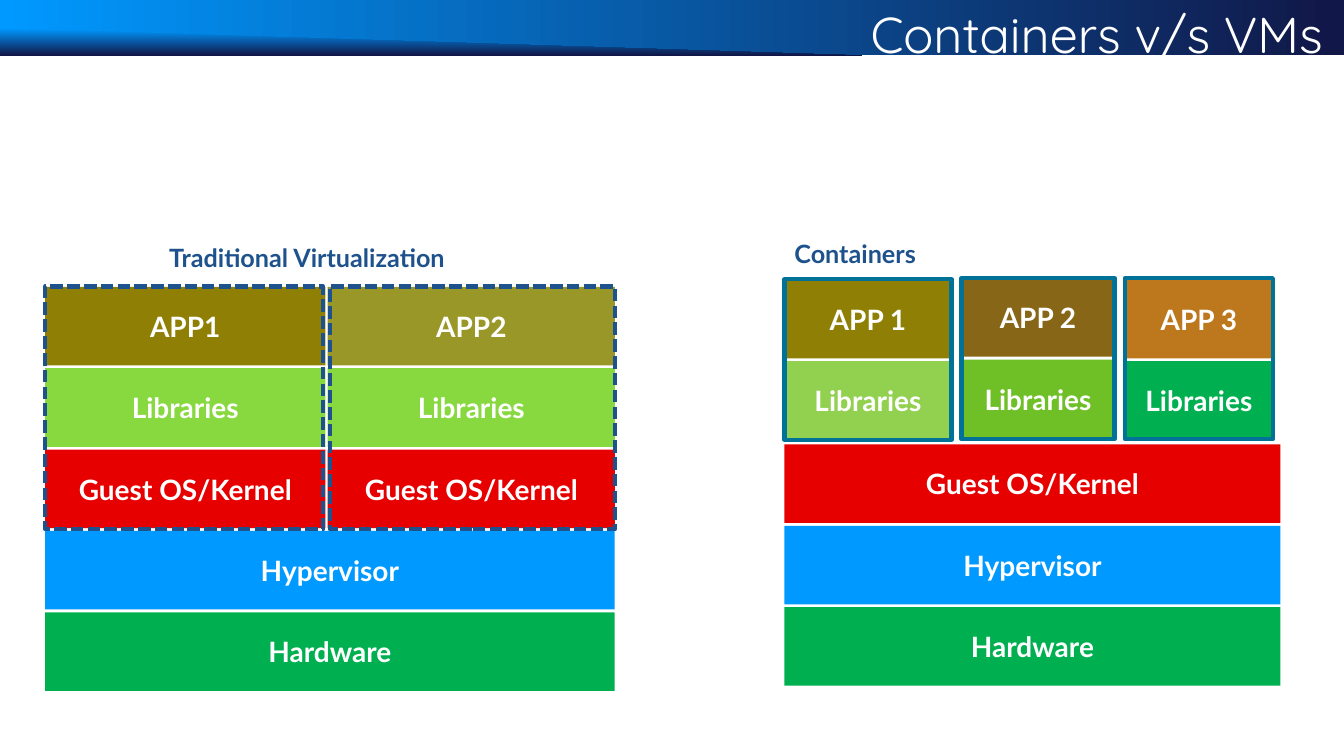
from dataclasses import dataclass

from pptx import Presentation
from pptx.dml.color import RGBColor
from pptx.enum.dml import MSO_LINE
from pptx.enum.shapes import MSO_SHAPE
from pptx.enum.text import MSO_ANCHOR, PP_ALIGN
from pptx.shapes.autoshape import Shape
from pptx.slide import Slide
from pptx.util import Cm, Pt

RECTANGLE = MSO_SHAPE.RECTANGLE
DASH = MSO_LINE.SQUARE_DOT
SOLID = MSO_LINE.SOLID
MIDDLE = MSO_ANCHOR.MIDDLE
BOTTOM = MSO_ANCHOR.BOTTOM
LEFT = PP_ALIGN.LEFT
CENTER = PP_ALIGN.CENTER

WHITE = "FFFFFF"
NAVY = "1D528D"
TEAL = "007197"
BLUE = "0099FF"
MIDNIGHT = "111747"
RED = "E60000"
GREEN = "00B050"
LIME = "88D840"
OLIVE = "8F7F05"

LAYER_HEIGHT = 1.98
LAYER_PITCH = 2.05
VM_TOP = 7.23
CONTAINER_TOP = 7.05

LAYER_FORMAT = {"name": "Lato", "size": Pt(20), "bold": True}
HEADING_FORMAT = {"name": "Lato", "size": Pt(18), "bold": True}
TITLE_FORMAT = {"name": "Quicksand", "size": Pt(36)}


@dataclass(frozen=True)
class Box:
    left: float
    top: float
    width: float
    height: float


@dataclass(frozen=True)
class Layer:
    text: str
    color: str


@dataclass(frozen=True)
class Stack:
    left: float
    top: float
    width: float
    layers: tuple[Layer, ...]


@dataclass(frozen=True)
class Frame:
    box: Box
    color: str
    dash: MSO_LINE


HOST_LAYERS = (Layer("Hypervisor", BLUE), Layer("Hardware", GREEN))
GUEST_KERNEL = Layer("Guest OS/Kernel", RED)

STACKS = (
    Stack(1.14, VM_TOP, 7.06,
          (Layer("APP1", OLIVE), Layer("Libraries", LIME), GUEST_KERNEL)),
    Stack(8.26, VM_TOP, 7.24,
          (Layer("APP2", "9A9729"), Layer("Libraries", LIME), GUEST_KERNEL)),
    Stack(1.14, VM_TOP + 3 * LAYER_PITCH, 14.35, HOST_LAYERS),
    Stack(19.77, CONTAINER_TOP, 4.21,
          (Layer("APP 1", OLIVE), Layer("Libraries", "92D050"))),
    Stack(24.23, CONTAINER_TOP - 0.04, 3.86,
          (Layer("APP 2", "876717"), Layer("Libraries", "6FBF27"))),
    Stack(28.35, CONTAINER_TOP, 3.73,
          (Layer("APP 3", "BD781D"), Layer("Libraries", GREEN))),
    Stack(19.77, CONTAINER_TOP + 2 * LAYER_PITCH + 0.05, 12.5,
          (GUEST_KERNEL, *HOST_LAYERS)),
)

FRAMES = (
    Frame(Box(1.14, 7.22, 7.01, 6.12), NAVY, DASH),
    Frame(Box(8.31, 7.22, 7.19, 6.12), NAVY, DASH),
    Frame(Box(19.77, 7.04, 4.21, 4.04), TEAL, SOLID),
    Frame(Box(24.23, 7.01, 3.86, 4.06), TEAL, SOLID),
    Frame(Box(28.35, 7.01, 3.73, 4.06), TEAL, SOLID),
)

HEADINGS = (
    ("Traditional Virtualization", Box(4.01, 5.99, 9.02, 1.02)),
    ("Containers", Box(19.77, 5.87, 12.01, 1.02)),
)


def rgb(color: str) -> RGBColor:
    return RGBColor.from_string(color)


def write_text(shape: Shape, text: str, color: str, alignment: PP_ALIGN,
               font_format: dict) -> None:
    shape.text_frame.word_wrap = True
    paragraph = shape.text_frame.paragraphs[0]
    paragraph.alignment = alignment
    run = paragraph.add_run()
    run.text = text
    run.font.color.rgb = rgb(color)
    for attribute, value in font_format.items():
        setattr(run.font, attribute, value)


def add_rectangle(slide: Slide, box: Box) -> Shape:
    shape = slide.shapes.add_shape(
        RECTANGLE, Cm(box.left), Cm(box.top), Cm(box.width), Cm(box.height))
    shape.shadow.inherit = False
    return shape


def add_text_box(slide: Slide, box: Box) -> Shape:
    return slide.shapes.add_textbox(
        Cm(box.left), Cm(box.top), Cm(box.width), Cm(box.height))


def fill_gradient(shape: Shape, angle: int) -> None:
    shape.fill.gradient()
    shape.fill.gradient_angle = angle
    for stop, color in zip(shape.fill.gradient_stops, (BLUE, MIDNIGHT)):
        stop.color.rgb = rgb(color)
    shape.line.fill.background()


def add_banner(slide: Slide) -> None:
    fill_gradient(add_rectangle(slide, Box(-0.02, 0, 33.9, 1.4)), 0)
    builder = slide.shapes.build_freeform(Cm(-0.05), Cm(0.71))
    builder.add_line_segments(
        [(Cm(21.72), Cm(1.4)), (Cm(-0.05), Cm(1.4))], close=True)
    wedge = builder.convert_to_shape()
    wedge.shadow.inherit = False
    fill_gradient(wedge, 270)

    title = add_text_box(slide, Box(21.39, 0, 12.5, 1.93))
    for side in ("left", "top", "right", "bottom"):
        setattr(title.text_frame, f"margin_{side}", Cm(0.33))
    title.text_frame.vertical_anchor = BOTTOM
    write_text(title, "Containers v/s VMs", WHITE, CENTER, TITLE_FORMAT)


def add_stack(slide: Slide, stack: Stack) -> None:
    for index, layer in enumerate(stack.layers):
        top = stack.top + index * LAYER_PITCH
        shape = add_rectangle(
            slide, Box(stack.left, top, stack.width, LAYER_HEIGHT))
        shape.fill.solid()
        shape.fill.fore_color.rgb = rgb(layer.color)
        shape.line.fill.background()
        shape.text_frame.vertical_anchor = MIDDLE
        write_text(shape, layer.text, WHITE, CENTER, LAYER_FORMAT)


def add_frame(slide: Slide, frame: Frame) -> None:
    shape = add_rectangle(slide, frame.box)
    shape.fill.background()
    shape.line.color.rgb = rgb(frame.color)
    shape.line.width = Pt(3)
    shape.line.dash_style = frame.dash


def main() -> None:
    presentation = Presentation()
    presentation.slide_width = Cm(33.87)
    presentation.slide_height = Cm(19.05)
    slide = presentation.slides.add_slide(presentation.slide_layouts[6])

    add_banner(slide)
    for text, box in HEADINGS:
        write_text(add_text_box(slide, box), text, NAVY, LEFT, HEADING_FORMAT)
    for stack in STACKS:
        add_stack(slide, stack)
    for frame in FRAMES:
        add_frame(slide, frame)

    presentation.save("out.pptx")


if __name__ == "__main__":
    main()
